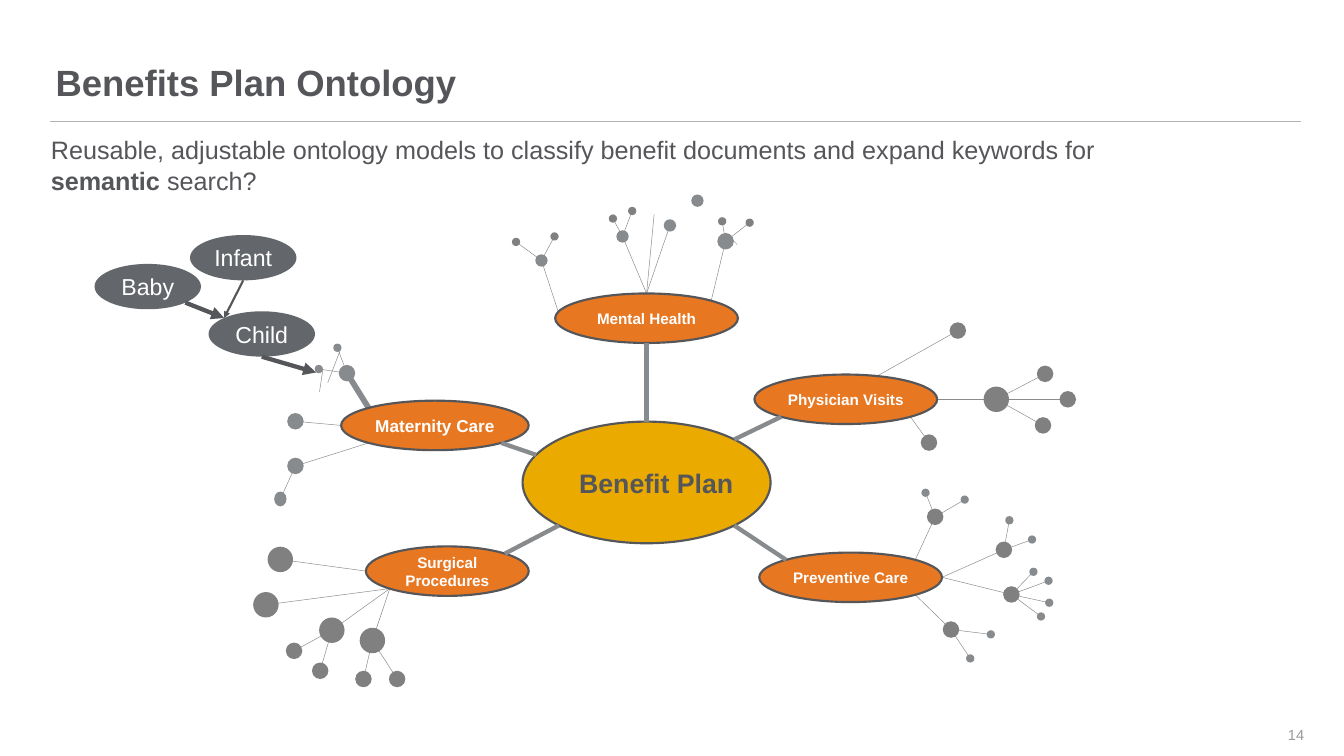
"""Draw the benefits plan ontology as a hub with five branches."""
from dataclasses import dataclass
from math import cos, radians, sin
from typing import NamedTuple, Optional

from lxml.etree import SubElement
from pptx import Presentation
from pptx.dml.color import RGBColor
from pptx.enum.shapes import MSO_CONNECTOR as Connector, MSO_SHAPE as Shape
from pptx.enum.text import MSO_ANCHOR as Anchor, PP_ALIGN as Align
from pptx.oxml.ns import qn
from pptx.util import Inches, Pt

COLUMNS, ROWS = 195.6, 110
CELL = Inches(0.1)
FONT = "Arial"
COLORS = {
    "ink": "55565A", "rule": "B1B3B3", "number": "999A9B", "white": "FFFFFF",
    "slate": "888B8D", "stone": "808080", "gold": "EAAA00", "orange": "E87722",
    "keyword": "63666A",
}
HAIR, THIN, THICK, STUB = 0.5, 2.25, 4.5, 6
RIGHT, UPPER_RIGHT, TOP, UPPER_LEFT, LEFT, LOWER_LEFT, BOTTOM, LOWER_RIGHT = range(0, 360, 45)


class Point(NamedTuple):
    column: float
    row: float


class Dot(NamedTuple):
    size: float
    color: str
    stretch: float = 1


LARGE, MEDIUM, SMALL, TINY = (Dot(size, "stone") for size in (3.7, 2.4, 1.8, 1.2))
SLATE_MEDIUM, SLATE_SMALL, SLATE_TINY = (
    dot._replace(color="slate") for dot in (MEDIUM, SMALL, TINY))
OVAL = SLATE_SMALL._replace(stretch=1.2)


@dataclass
class Bubble:
    label: str
    center: Point
    width: float
    height: float = 7.2
    points: float = 16
    fill: str = "orange"
    color: str = "white"
    bold: bool = True
    outline: bool = True
    indent: float = 0

    def site(self, angle: float) -> Point:
        return Point(self.center.column + self.width / 2 * cos(radians(angle)),
                     self.center.row - self.height / 2 * sin(radians(angle)))


@dataclass
class Twig:
    angle: Optional[float]
    center: Point
    leaves: tuple = ()
    dot: Optional[Dot] = None
    leaf: Optional[Dot] = None
    weight: float = HAIR


@dataclass
class Branch:
    hub: Bubble
    plan_angle: float
    hub_angle: float
    dot: Dot
    leaf: Dot
    twigs: list


PLAN = Bubble("Benefit Plan", Point(94.1, 70.2), 36.1, 17.7, 28, "gold", "ink", indent=2.8)
BARE = Dot(0, "slate")

BRANCHES = [
    Branch(Bubble("Mental Health", Point(94.1, 46.3), 26.6), TOP, BOTTOM, SLATE_SMALL, TINY, [
        Twig(165, Point(78.8, 37.9), (Point(75.1, 35.2), Point(80.7, 34.4))),
        Twig(TOP, Point(90.6, 34.4), (Point(89.2, 31.8), Point(92, 30.7))),
        Twig(TOP, Point(95.2, 31.2), dot=BARE),
        Twig(TOP, Point(97.5, 32.8)),
        Twig(None, Point(101.5, 29.2)),
        Twig(UPPER_RIGHT, Point(105.6, 35.1), (Point(105.1, 32.2), Point(109.1, 32.4)),
             SLATE_MEDIUM),
    ]),
    Branch(Bubble("Physician Visits", Point(123.1, 58.1), 26.6), UPPER_RIGHT, LOWER_LEFT,
           MEDIUM, MEDIUM, [
        Twig(70, Point(139.4, 48.1)),
        Twig(RIGHT, Point(145, 58.1),
             (Point(152.1, 54.4), Point(155.4, 58.1), Point(151.8, 61.9)), LARGE),
        Twig(LOWER_RIGHT, Point(135.2, 64.4)),
    ]),
    Branch(Bubble("Preventive Care", Point(123.8, 84), 26.6), LOWER_RIGHT, UPPER_LEFT,
           MEDIUM, SLATE_TINY, [
        Twig(UPPER_RIGHT, Point(136.1, 75.2), (Point(134.7, 71.7), Point(140.4, 72.7))),
        Twig(RIGHT, Point(146.1, 80), (Point(146.9, 75.7), Point(150.2, 78.5))),
        Twig(RIGHT, Point(147.2, 86.5), (Point(150.4, 83.2), Point(152.6, 84.5),
                                         Point(152.7, 87.7), Point(151.5, 89.7))),
        Twig(LOWER_RIGHT, Point(138.4, 91.6), (Point(144.2, 92.3), Point(141.2, 95.8))),
    ]),
    Branch(Bubble("Surgical Procedures", Point(65.1, 83.1), 23.7), LOWER_LEFT, UPPER_RIGHT,
           LARGE, MEDIUM, [
        Twig(LEFT, Point(40.8, 81.4)),
        Twig(LOWER_LEFT, Point(38.7, 88)),
        Twig(LOWER_LEFT, Point(48.3, 91.7), (Point(42.8, 94.7), Point(46.6, 97.6))),
        Twig(LOWER_LEFT, Point(54.2, 93.2), (Point(52.9, 98.8), Point(57.8, 98.8))),
    ]),
    Branch(Bubble("Maternity Care", Point(63.3, 61.9), 27.3, points=18), 153, LOWER_RIGHT,
           SLATE_MEDIUM, SLATE_TINY, [
        Twig(UPPER_LEFT, Point(50.5, 54.3), (Point(49.1, 50.6), Point(46.4, 53.7)),
             weight=STUB),
        Twig(LEFT, Point(43, 61.3)),
        Twig(LOWER_LEFT, Point(43, 67.8), (Point(40.8, 72.6),), leaf=OVAL),
    ]),
]
LOOSE_ENDS = [(Point(105.6, 33.9), Point(107.3, 35.6)), (Point(49.5, 51), Point(47.7, 55.7)),
              (Point(47, 53.7), Point(46.5, 57))]

CHILD, BABY, INFANT = KEYWORDS = [
    Bubble(word, center, 15.5, 6.6, 24.2, "keyword", bold=False, outline=False)
    for word, center in [("Child", Point(38.1, 48.6)), ("Baby", Point(21.5, 41.7)),
                         ("Infant", Point(35.4, 37.5))]]
ARROWS = [(INFANT.site(BOTTOM), CHILD.site(UPPER_LEFT), THIN),
          (BABY.site(LOWER_RIGHT), CHILD.site(UPPER_LEFT), THICK),
          (CHILD.site(BOTTOM), Point(46, 54.2), THICK)]


def cells(*counts: float) -> list:
    return [round(CELL * count) for count in counts]


def rgb(name: str) -> RGBColor:
    return RGBColor.from_string(COLORS[name])


def style(paragraph, points: float, color: str, bold=None, align=Align.LEFT) -> None:
    paragraph.alignment = align
    font = paragraph.font
    font.name, font.size, font.bold = FONT, Pt(points), bold
    font.color.rgb = rgb(color)


def prepare(frame, anchor) -> None:
    frame.word_wrap, frame.vertical_anchor = True, anchor
    frame.margin_left = frame.margin_right = frame.margin_top = frame.margin_bottom = 0


def draw_text(page, area: tuple, text: str, anchor=Anchor.TOP):
    frame = page.shapes.add_textbox(*cells(*area)).text_frame
    prepare(frame, anchor)
    frame.text = text
    return frame


def draw_line(page, start: Point, end: Point, weight=HAIR, color="slate", arrow=False) -> None:
    line = page.shapes.add_connector(Connector.STRAIGHT, *cells(*start, *end))
    line.line.width, line.line.color.rgb = Pt(weight), rgb(color)
    properties = line._element.spPr
    if arrow:
        SubElement(properties.find(qn("a:ln")), qn("a:tailEnd"), type="triangle")
    SubElement(properties, qn("a:effectLst"))


def draw_ellipse(page, center: Point, width: float, height: float, fill: str):
    corner = (center.column - width / 2, center.row - height / 2)
    ellipse = page.shapes.add_shape(Shape.OVAL, *cells(*corner, width, height))
    ellipse.shadow.inherit = False
    ellipse.fill.solid()
    ellipse.fill.fore_color.rgb = rgb(fill)
    ellipse.line.fill.background()
    return ellipse


def draw_dot(page, center: Point, dot: Dot) -> None:
    if dot.size:
        draw_ellipse(page, center, dot.size, dot.size * dot.stretch, dot.color)


def draw_bubble(page, bubble: Bubble) -> None:
    ellipse = draw_ellipse(page, bubble.center, bubble.width, bubble.height, bubble.fill)
    if bubble.outline:
        ellipse.line.width, ellipse.line.color.rgb = Pt(THIN), rgb("ink")
    frame = ellipse.text_frame
    prepare(frame, Anchor.MIDDLE)
    frame.margin_left = cells(bubble.indent)[0]
    frame.text = bubble.label
    style(frame.paragraphs[0], bubble.points, bubble.color, bubble.bold, Align.CENTER)


def draw_heading(page) -> None:
    draw_line(page, Point(7.3, 17.7), Point(189.4, 17.7), 1, "rule")
    title = draw_text(page, (8.1, 7.3, 160.2, 7.9), "Benefits Plan Ontology", Anchor.BOTTOM)
    style(title.paragraphs[0], 38.2, "ink", True)
    title.paragraphs[0].line_spacing = 0.9
    number = draw_text(page, (180, 104, 9.8, 5.9), "14", Anchor.MIDDLE)
    style(number.paragraphs[0], 15.3, "number", align=Align.RIGHT)
    lead = draw_text(page, (7.4, 19.6, 182.2, 8.6), "Reusable, adjustable ontology models to "
                     "classify benefit documents and expand keywords for")
    closing = lead.add_paragraph()
    for text, bold in [("semantic", True), (" search?", False)]:
        span = closing.add_run()
        span.text, span.font.bold = text, bold
    for paragraph in lead.paragraphs:
        style(paragraph, 26.4, "ink")


def draw_twig(page, branch: Branch, twig: Twig) -> None:
    if twig.angle is not None:
        draw_line(page, branch.hub.site(twig.angle), twig.center, twig.weight)
    for leaf in twig.leaves:
        draw_line(page, twig.center, leaf)
        draw_dot(page, leaf, twig.leaf or branch.leaf)
    draw_dot(page, twig.center, twig.dot or branch.dot)


def main() -> None:
    deck = Presentation()
    deck.slide_width, deck.slide_height = cells(COLUMNS, ROWS)
    page = deck.slides.add_slide(deck.slide_layouts[6])
    draw_heading(page)
    for start, end in LOOSE_ENDS:
        draw_line(page, start, end)
    for branch in BRANCHES:
        for twig in branch.twigs:
            draw_twig(page, branch, twig)
    draw_bubble(page, PLAN)
    for branch in BRANCHES:
        draw_bubble(page, branch.hub)
        draw_line(page, PLAN.site(branch.plan_angle), branch.hub.site(branch.hub_angle), THICK)
    for keyword in KEYWORDS:
        draw_bubble(page, keyword)
    for start, end, weight in ARROWS:
        draw_line(page, start, end, weight, "ink", True)
    deck.save("out.pptx")


if __name__ == "__main__":
    main()
